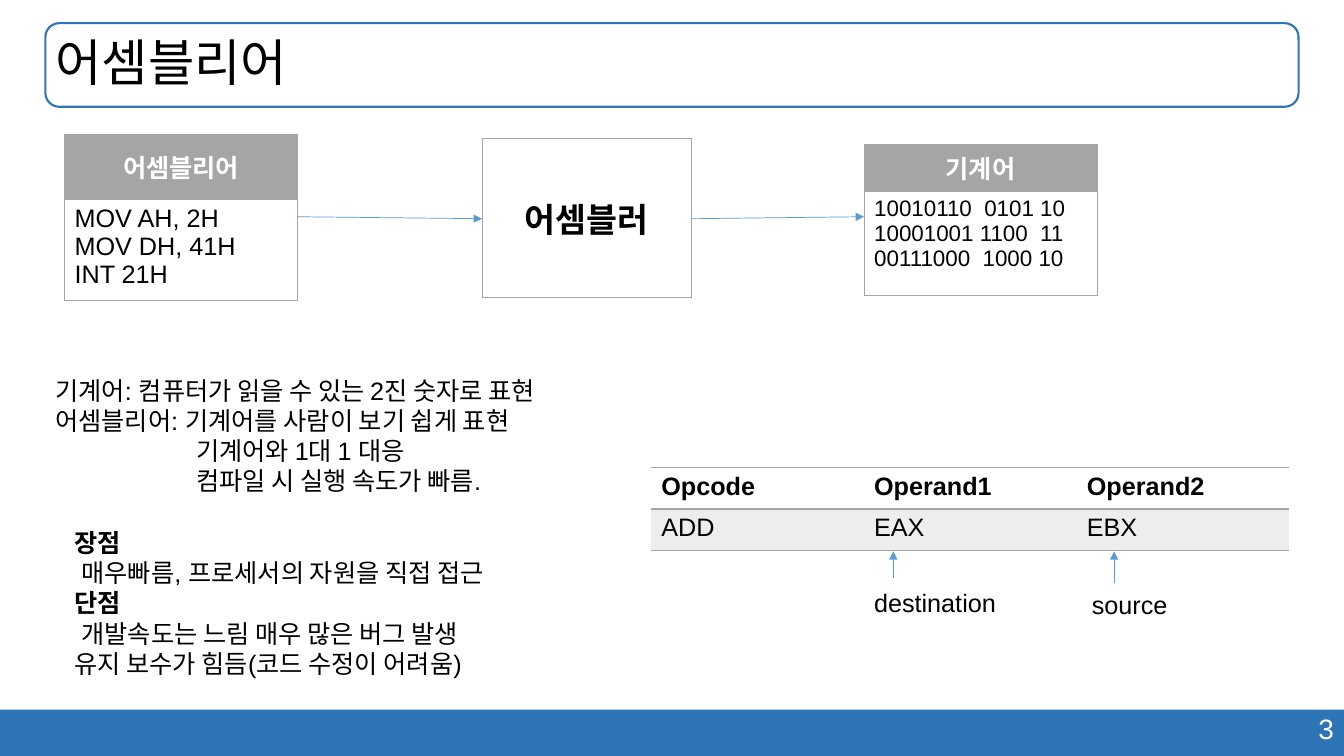
from dataclasses import dataclass

from lxml import etree
from pptx import Presentation
from pptx import util as u
from pptx.dml.color import RGBColor
from pptx.enum import shapes, text
from pptx.oxml import ns

Inches = u.Inches
LEFT, CENTER, RIGHT = text.PP_ALIGN.LEFT, text.PP_ALIGN.CENTER, text.PP_ALIGN.RIGHT
NO_STYLE_TABLE = "{2D5ABB26-0587-4C30-8999-92F81FD0307C}"


@dataclass(frozen=True)
class Theme:
    font: str = "Arial"
    black: str = "000000"
    white: str = "FFFFFF"
    blue: str = "2E75B6"
    arrow: str = "5B9BD5"
    gray: str = "A5A5A5"
    pale: str = "EDEDED"
    title: int = 36
    heading: int = 24
    page: int = 20
    body: int = 18
    code: int = 16


def add_element(parent, tag, **attributes):
    return etree.SubElement(parent, ns.qn(tag), attributes)


class SlideBuilder:
    def __init__(self, presentation, theme):
        self.theme = theme
        self.slide = presentation.slides.add_slide(presentation.slide_layouts[5])

    def fill_text(self, frame, lines, align=LEFT, indents=None, spacing=None, **format_values):
        """Fill a text frame; a line is a string or a (string, bold) pair."""
        values = {"name": self.theme.font, "size": self.theme.body,
                  "color": self.theme.black, "bold": False, **format_values}
        values["size"] = u.Pt(values["size"])
        color = RGBColor.from_string(values.pop("color"))
        for index, line in enumerate(lines):
            words, bold = line if isinstance(line, tuple) else (line, values["bold"])
            paragraph = frame.paragraphs[0] if index == 0 else frame.add_paragraph()
            paragraph.alignment = align
            if spacing:
                paragraph.line_spacing = spacing
            if indents and indents[index]:
                properties = paragraph._p.get_or_add_pPr()
                properties.set("marL", str(Inches(indents[index])))
                properties.set("indent", "0")
            run = paragraph.add_run()
            run.text = words
            for name, value in {**values, "bold": bold}.items():
                setattr(run.font, name, value)
            run.font.color.rgb = color

    def title(self, words, left, top, width, height):
        shape = self.slide.shapes.title
        place = {"left": left, "top": top, "width": width, "height": height}
        for name, value in place.items():
            setattr(shape, name, Inches(value))
        shape.text_frame.vertical_anchor = text.MSO_ANCHOR.MIDDLE
        self.fill_text(shape.text_frame, [words], spacing=0.9, size=self.theme.title)

    def box(self, kind, left, top, width, height, fill=None, line=None):
        shape = self.slide.shapes.add_shape(
            kind, Inches(left), Inches(top), Inches(width), Inches(height))
        shape.shadow.inherit = False
        for target, color in ((shape.fill, fill), (shape.line.fill, line)):
            if color:
                target.solid()
                target.fore_color.rgb = RGBColor.from_string(color)
            else:
                target.background()
        if line:
            shape.line.width = u.Pt(1.5)

    def text(self, lines, left, top, width, height, **options):
        shape = self.slide.shapes.add_textbox(
            Inches(left), Inches(top), Inches(width), Inches(height))
        frame = shape.text_frame
        frame.word_wrap = True
        frame.auto_size = text.MSO_AUTO_SIZE.SHAPE_TO_FIT_TEXT
        self.fill_text(frame, lines, **options)

    def arrow(self, start, end):
        connector = self.slide.shapes.add_connector(
            shapes.MSO_CONNECTOR.STRAIGHT, *map(Inches, (*start, *end)))
        connector.line.width = u.Pt(0.5)
        connector.line.color.rgb = RGBColor.from_string(self.theme.arrow)
        add_element(connector.line._get_or_add_ln(), "a:tailEnd", type="triangle")
        add_element(connector._element.spPr, "a:effectLst")

    def table(self, left, top, widths, heights):
        """Add an unstyled table."""
        frame = self.slide.shapes.add_table(
            len(heights), len(widths), Inches(left), Inches(top),
            Inches(sum(widths)), Inches(sum(heights)))
        table = frame.table
        table.first_row = table.horz_banding = False
        table._tbl.tblPr.find(ns.qn("a:tableStyleId")).text = NO_STYLE_TABLE
        for column, width in zip(table.columns, widths):
            column.width = Inches(width)
        for row, height in zip(table.rows, heights):
            row.height = Inches(height)
        return table

    def cell(self, cell, lines, fill=None, sides="LRTB", border=0.5, middle=False, **options):
        if middle:
            cell.vertical_anchor = text.MSO_ANCHOR.MIDDLE
        if fill:
            cell.fill.solid()
            cell.fill.fore_color.rgb = RGBColor.from_string(fill)
        properties = cell._tc.get_or_add_tcPr()
        for index, side in enumerate(sides):
            line = add_element(properties, f"a:ln{side}", w=str(u.Pt(border)))
            add_element(add_element(line, "a:solidFill"), "a:srgbClr", val=self.theme.gray)
            properties.insert(index, line)
        self.fill_text(cell.text_frame, lines, **options)

    def code_card(self, heading, lines, left, top, heights, size):
        table = self.table(left, top, [2.31], heights)
        self.cell(table.cell(0, 0), [heading], fill=self.theme.gray, middle=True,
                  align=CENTER, color=self.theme.white, bold=True)
        self.cell(table.cell(1, 0), lines, size=size)

    def instruction_table(self, rows, left, top):
        table = self.table(left, top, [2.11] * 3, [0.41] * len(rows))
        for row, words in enumerate(rows):
            for column, word in enumerate(words):
                self.cell(table.cell(row, column), [word], sides="TB", border=1,
                          fill=self.theme.pale if row else None, bold=row == 0)


def main():
    presentation = Presentation()
    presentation.slide_width, presentation.slide_height = Inches(13.33), Inches(7.5)
    theme = Theme()
    builder = SlideBuilder(presentation, theme)

    builder.box(shapes.MSO_SHAPE.RECTANGLE, 0, 7.04, 13.33, 0.46, fill=theme.blue)
    builder.text(["3"], 9.43, 7.01, 3.9, 0.44, align=RIGHT, size=theme.page, color=theme.white)
    title_area = (0.45, 0.23, 12.43, 0.83)
    builder.box(shapes.MSO_SHAPE.ROUNDED_RECTANGLE, *title_area, line=theme.blue)
    builder.title("어셈블리어", *title_area)

    assembler = builder.table(4.78, 1.37, [2.08], [1.58])
    builder.cell(assembler.cell(0, 0), ["어셈블러"], fill=theme.white, middle=True,
                 align=CENTER, size=theme.heading, bold=True)
    builder.code_card("어셈블리어", ["MOV AH, 2H", "MOV DH, 41H", "INT 21H"],
                      0.64, 1.33, [0.65, 0.97], theme.body)
    builder.code_card("기계어", ["10010110  0101 10", "10001001 1100  11", "00111000  1000 10"],
                      8.57, 1.43, [0.47, 1.03], theme.code)
    builder.arrow((2.95, 2.15), (4.78, 2.17))
    builder.arrow((6.86, 2.17), (8.57, 2.15))

    builder.text(["기계어: 컴퓨터가 읽을 수 있는 2진 숫자로 표현",
                  "어셈블리어: 기계어를 사람이 보기 쉽게 표현",
                  "기계어와 1대 1 대응",
                  "컴파일 시 실행 속도가 빠름."],
                 0.45, 3.67, 7.36, 1.31, indents=[0, 0, 1.4, 1.4])
    builder.text([("장점", True), "매우빠름, 프로세서의 자원을 직접 접근",
                  ("단점", True), "개발속도는 느림 매우 많은 버그 발생",
                  "유지 보수가 힘듬(코드 수정이 어려움)"],
                 0.64, 5.18, 5.82, 1.62, indents=[0, 0.07, 0, 0.07, 0])

    builder.instruction_table([("Opcode", "Operand1", "Operand2"), ("ADD", "EAX", "EBX")],
                              6.46, 4.64)
    for label, left, top, arrow_x, arrow_y in (("destination", 8.57, 5.78, 8.86, 5.73),
                                               ("source", 10.73, 5.8, 11.05, 5.78)):
        builder.text([label], left, top, 1.48, 0.41)
        builder.arrow((arrow_x, arrow_y), (arrow_x, 5.47))

    presentation.save("out.pptx")


if __name__ == "__main__":
    main()
